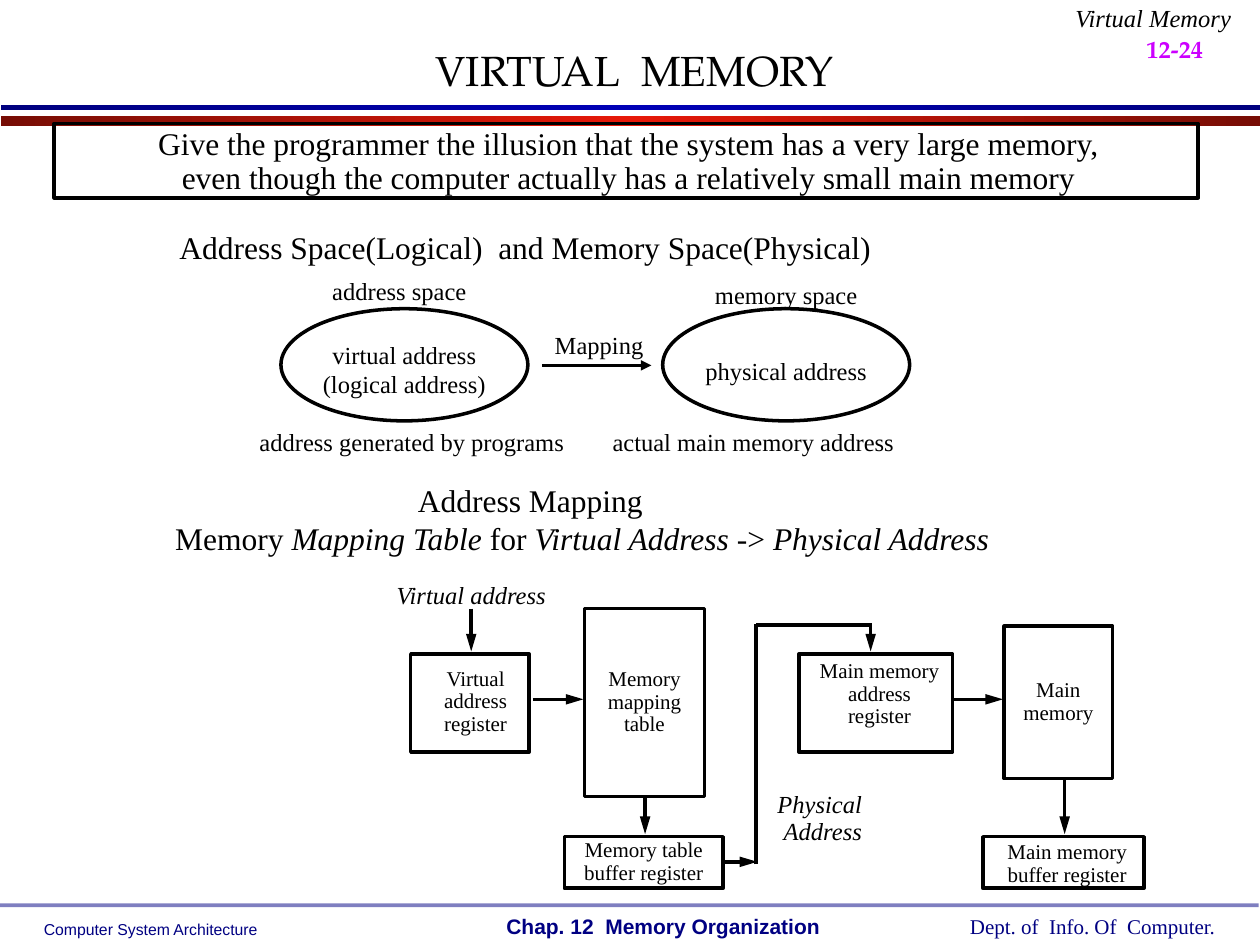
from copy import deepcopy

from pptx import Presentation
from pptx.dml.color import RGBColor
from pptx.enum.shapes import MSO_CONNECTOR, MSO_SHAPE
from pptx.enum.text import MSO_ANCHOR, PP_ALIGN
from pptx.oxml.ns import qn
from pptx.util import Inches, Pt

RECT, OVAL = MSO_SHAPE.RECTANGLE, MSO_SHAPE.OVAL
STRAIGHT = MSO_CONNECTOR.STRAIGHT
TOP, MIDDLE = MSO_ANCHOR.TOP, MSO_ANCHOR.MIDDLE
LEFT, CENTER, RIGHT = PP_ALIGN.LEFT, PP_ALIGN.CENTER, PP_ALIGN.RIGHT
SERIF, SANS, TITLE_FONT = "Times New Roman", "Arial", "TeX Gyre Pagella"
BLACK, NAVY, MAGENTA = "000000", "000082", "CC00FF"
color = RGBColor.from_string


def write(shape, text, size=14, font=SERIF, ink=BLACK, bold=False, italic=False,
          align=CENTER, anchor=TOP, spacing=1.0, insets=(0.07, 0.03, 0.07, 0.03)):
    """Fill a shape with text: one paragraph a line, *marked* words in italics."""
    frame = shape.text_frame
    frame.word_wrap = False
    frame.vertical_anchor = anchor
    (frame.margin_left, frame.margin_top,
     frame.margin_right, frame.margin_bottom) = map(Inches, insets)
    for i, line in enumerate(text.split("\n")):
        paragraph = frame.add_paragraph() if i else frame.paragraphs[0]
        paragraph.alignment = align
        paragraph.line_spacing = spacing
        for j, part in enumerate(line.split("*")):
            run = paragraph.add_run()
            run.text = part
            run.font.size, run.font.name = Pt(size), font
            run.font.bold, run.font.italic = bold, italic or j % 2 == 1
            run.font.color.rgb = color(ink)


def arrow(start, end, head="lg"):
    """Draw a line, with an arrowhead of the given length unless head is None."""
    line = slide.shapes.add_connector(STRAIGHT, *map(Inches, (*start, *end)))
    line.line.color.rgb = color(BLACK)
    line.line.width = Pt(2)
    if head:
        tail = line.line._get_or_add_ln().makeelement(
            qn("a:tailEnd"), {"type": "triangle", "w": "med", "len": head})
        line.line._get_or_add_ln().append(tail)
    properties = line._element.spPr
    properties.append(properties.makeelement(qn("a:effectLst"), {}))


prs = Presentation()
prs.slide_width, prs.slide_height = Inches(10), Inches(7.5)
slide = prs.slides.add_slide(prs.slide_layouts[5])

# Gradient rules under the title
for top, height, edge, middle in [(0.92, 0.08, "770D05", "E71909"),
                                  (0.83, 0.04, "00007F", "0000B6")]:
    rule = slide.shapes.add_shape(RECT, *map(Inches, (0.01, top, 9.99, height)))
    rule.shadow.inherit = False
    rule.line.fill.background()
    rule.fill.gradient()
    rule.fill.gradient_angle = 0
    stop_list = rule._element.spPr.find(".//" + qn("a:gsLst"))
    stop_list.append(deepcopy(stop_list[-1]))
    for stop, position, shade in zip(rule.fill.gradient_stops, (0, 0.5, 1),
                                     (edge, middle, edge)):
        stop.position = position
        stop.color.rgb = color(shade)

# Half-transparent footer rule
footer_rule = slide.shapes.add_shape(RECT, *map(Inches, (0, 7.17, 9.99, 0.03)))
footer_rule.shadow.inherit = False
footer_rule.line.fill.background()
footer_rule.fill.solid()
footer_rule.fill.fore_color.rgb = color(NAVY)
footer_color = footer_rule._element.spPr.find(".//" + qn("a:srgbClr"))
footer_color.append(footer_color.makeelement(qn("a:alpha"), {"val": "50000"}))

# Title
title = slide.shapes.title
title.left, title.top, title.width, title.height = map(Inches, (0.58, 0.3, 8.91, 0.51))
write(title, "VIRTUAL  MEMORY", size=24, font=TITLE_FONT, anchor=MIDDLE)

# Header, footer, headings and captions
wide = (0.1, 0.05, 0.1, 0.05)
footer = dict(ink=NAVY, insets=wide, align=LEFT)
label = dict(italic=True, spacing=0.9, insets=wide)
texts = [
    (0.25, 7.25, 1.9, 0.25, "Computer System Architecture", dict(footer, size=9, font=SANS)),
    (3.92, 7.2, 2.69, 0.3, "Chap. 12  Memory Organization",
     dict(footer, size=12, font=SANS, bold=True)),
    (7.6, 7.2, 2.16, 0.3, "Dept. of  Info. Of  Computer.", dict(footer, size=12)),
    (8.27, 0, 1.6, 0.31, "Virtual Memory", dict(label, align=RIGHT)),
    (0.88, 1.78, 6.58, 0.36, "Address Space(Logical)  and Memory Space(Physical)", dict(size=18)),
    (2.43, 2.16, 1.48, 0.28, "address space", {}),
    (5.49, 2.19, 1.5, 0.28, "memory space", {}),
    (4.29, 2.59, 0.93, 0.28, "Mapping", {}),
    (1.97, 3.36, 2.6, 0.28, "address generated by programs", {}),
    (4.78, 3.36, 2.4, 0.28, "actual main memory address", {}),
    (3.21, 3.79, 2, 0.36, "Address Mapping", dict(size=18)),
    (1.32, 4.09, 6.6, 0.36,
     "Memory *Mapping Table* for *Virtual Address* -> *Physical Address*", dict(size=18)),
    (2.94, 4.58, 1.6, 0.31, "Virtual address", label),
    (6.07, 6.24, 0.87, 0.52, "Physical\nAddress", dict(label, align=RIGHT)),
]
for left, top, width, height, text, style in texts:
    box = slide.shapes.add_textbox(*map(Inches, (left, top, width, height)))
    write(box, text, **style)

# Page number, lowered as a subscript
page_number = slide.shapes.add_textbox(*map(Inches, (9, 0, 1.08, 0.37)))
write(page_number, "12-24", size=24, font=TITLE_FONT, ink=MAGENTA, bold=True,
      align=LEFT, insets=wide)
page_number.text_frame.paragraphs[0].runs[0].font._element.set("baseline", "-25000")

# Outlined shapes: statement, address sets, registers and memories
register = dict(size=12, spacing=0.9)
outlines = [
    (RECT, 0.43, 0.98, 9.08, 0.59,
     "Give the programmer the illusion that the system has a very large memory,\n"
     "even though the computer actually has a relatively small main memory",
     dict(size=18, spacing=0.9, insets=(0.04, 0.02, 0, 0))),
    (OVAL, 2.23, 2.45, 1.96, 0.89, "virtual address\n(logical address)",
     dict(insets=(0, 0.07, 0, 0))),
    (OVAL, 5.26, 2.45, 1.96, 0.89, "physical address", dict(insets=(0, 0.1, 0, 0))),
    (RECT, 3.26, 5.19, 0.94, 0.78, "Virtual\naddress\nregister",
     dict(register, insets=(0.09, 0, 0, 0.02))),
    (RECT, 4.64, 4.83, 0.95, 1.49, "Memory\nmapping\ntable", register),
    (RECT, 4.48, 6.64, 1.26, 0.41, "Memory table\nbuffer register", register),
    (RECT, 6.34, 5.19, 1.22, 0.78, "Main memory\naddress\nregister",
     dict(register, insets=(0.06, 0, 0, 0.14))),
    (RECT, 7.97, 4.97, 0.86, 1.21, "Main\nmemory", register),
    (RECT, 7.8, 6.64, 1.28, 0.41, "Main memory\nbuffer register",
     dict(register, insets=(0.06, 0.03, 0, 0))),
]
for kind, left, top, width, height, text, style in outlines:
    outline = slide.shapes.add_shape(kind, *map(Inches, (left, top, width, height)))
    outline.shadow.inherit = False
    outline.fill.background()
    outline.line.color.rgb = color(BLACK)
    outline.line.width = Pt(2)
    write(outline, text, anchor=MIDDLE, **style)

# Arrows between the address sets and through the mapping
arrow((4.3, 2.9), (5.17, 2.9), head="med")
for start, end in [((3.74, 4.83), (3.74, 5.17)), ((4.23, 5.55), (4.63, 5.55)),
                   ((5.12, 6.33), (5.12, 6.62)), ((5.75, 6.84), (6.01, 6.84)),
                   ((6.91, 4.96), (6.91, 5.17)), ((7.56, 5.55), (7.96, 5.55)),
                   ((8.45, 6.19), (8.45, 6.62))]:
    arrow(start, end)

# Physical address path up to the main memory address register
arrow((6, 6.86), (6, 4.95), head=None)
arrow((6, 4.96), (6.92, 4.96), head=None)

prs.save("out.pptx")
